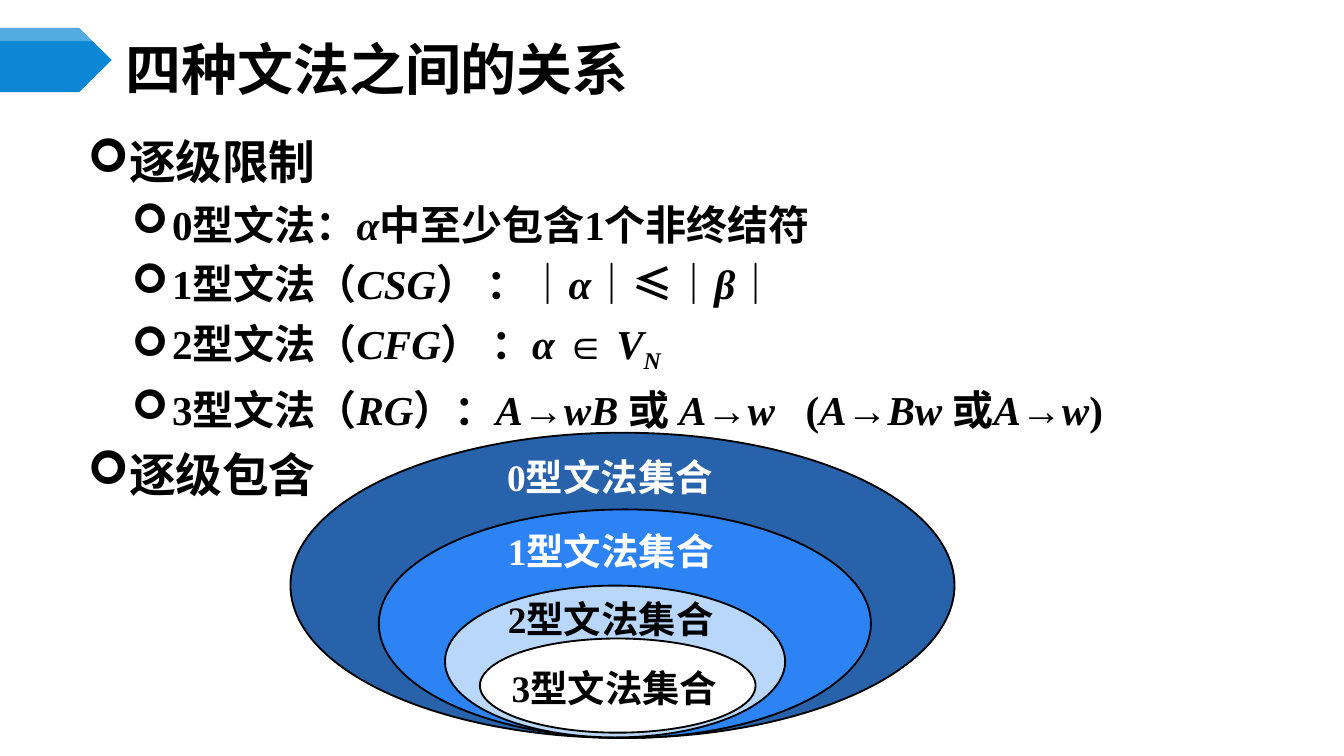
from dataclasses import dataclass

from lxml.etree import SubElement
from pptx import Presentation
from pptx.dml.color import RGBColor
from pptx.enum.shapes import MSO_SHAPE
from pptx.enum.text import MSO_ANCHOR, MSO_AUTO_SIZE, PP_ALIGN
from pptx.oxml.ns import qn
from pptx.util import Cm, Pt

BLACK = RGBColor(0x00, 0x00, 0x00)
WHITE = RGBColor(0xFF, 0xFF, 0xFF)
NAVY = RGBColor(0x28, 0x62, 0xAA)
BLUE = RGBColor(0x2D, 0x83, 0xF4)
PALE_BLUE = RGBColor(0xB9, 0xD6, 0xFB)
TAB_BLUE = RGBColor(0x0B, 0x87, 0xD6)
HEADING_FONT = "Noto Sans CJK SC"
BODY_FONT = "Times New Roman"


@dataclass
class Box:
    left: float
    top: float
    width: float
    height: float

    def lengths(self) -> tuple:
        return Cm(self.left), Cm(self.top), Cm(self.width), Cm(self.height)


@dataclass
class Bullet:
    level: int
    text: str


@dataclass
class GrammarSet:
    name: str
    ellipse: Box
    fill: RGBColor
    label: Box
    ink: RGBColor
    align: PP_ALIGN = PP_ALIGN.LEFT


BULLETS = [
    Bullet(0, "逐级限制"),
    Bullet(1, "0型文法：*α*中至少包含1个非终结符"),
    Bullet(1, "1型文法（*CSG*） ：｜*α*｜≤｜*β*｜"),
    Bullet(1, "2型文法（*CFG*） ：*α* ∈ *V**_N*"),
    Bullet(1, "3型文法（*RG*）：*A*→*wB *或 *A*→*w*   (*A*→*Bw *或*A*→*w*)"),
    Bullet(0, "逐级包含"),
]
GRAMMAR_SETS = [
    GrammarSet("0型文法集合", Box(5.49, 8.18, 12.55, 5.77), NAVY,
               Box(8.1, 8.46, 6.86, 1.12), WHITE, PP_ALIGN.CENTER),
    GrammarSet("1型文法集合", Box(7.16, 9.63, 9.3, 4.32), BLUE,
               Box(9.35, 9.86, 4.88, 1.12), WHITE),
    GrammarSet("2型文法集合", Box(8.41, 11.07, 6.43, 2.87), PALE_BLUE,
               Box(9.35, 11.15, 5.13, 1.12), BLACK),
    GrammarSet("3型文法集合", Box(9.07, 12.07, 5.21, 1.78), WHITE,
               Box(9.42, 12.45, 5.05, 1.12), BLACK),
]


def add_span(para, text: str, size: float, font_name: str, color: RGBColor):
    span = para.add_run()
    span.text = text
    span.font.size = Pt(size)
    span.font.name = font_name
    span.font.bold = True
    span.font.color.rgb = color
    properties = span.font._element
    SubElement(properties, qn("a:ea"), typeface=HEADING_FONT)
    return span


def place(shape, box: Box) -> None:
    shape.left, shape.top, shape.width, shape.height = box.lengths()


def write_title(title) -> None:
    place(title, Box(2.11, 0.79, 22.02, 0.99))
    frame = title.text_frame
    frame.auto_size = MSO_AUTO_SIZE.NONE
    frame.vertical_anchor = MSO_ANCHOR.MIDDLE
    para = frame.paragraphs[0]
    para.alignment = PP_ALIGN.LEFT
    add_span(para, "四种文法之间的关系", 30, HEADING_FONT, BLACK)


def write_bullet(para, bullet: Bullet) -> None:
    para.level = bullet.level
    para.alignment = PP_ALIGN.LEFT
    para.space_before = Pt((6.2, 5.5)[bullet.level])
    properties = para._p.get_or_add_pPr()
    properties.set("marL", str(Cm((0.76, 1.6)[bullet.level])))
    properties.set("indent", str(Cm(-0.76)))
    color = SubElement(properties, qn("a:buClr"))
    SubElement(color, qn("a:srgbClr"), val=str(BLACK))
    SubElement(properties, qn("a:buFont"), typeface="Wingdings")
    SubElement(properties, qn("a:buChar"), char="➢")
    for index, piece in enumerate(bullet.text.split("*")):
        if piece:
            size = (25, 22)[bullet.level]
            span = add_span(para, piece.lstrip("_"), size, BODY_FONT, BLACK)
            span.font.italic = index % 2 == 1
            if piece.startswith("_"):
                span.font._element.set("baseline", "-25000")


def write_body(body) -> None:
    place(body, Box(1.4, 2.39, 22.99, 8.97))
    frame = body.text_frame
    frame.auto_size = MSO_AUTO_SIZE.NONE
    for index, bullet in enumerate(BULLETS):
        para = frame.add_paragraph() if index else frame.paragraphs[0]
        write_bullet(para, bullet)


def add_ellipse(page, grammar: GrammarSet) -> None:
    ellipse = page.shapes.add_shape(MSO_SHAPE.OVAL, *grammar.ellipse.lengths())
    ellipse.shadow.inherit = False
    ellipse.fill.solid()
    ellipse.fill.fore_color.rgb = grammar.fill
    ellipse.line.color.rgb = BLACK
    ellipse.line.width = Pt(1)


def add_label(page, grammar: GrammarSet) -> None:
    label = page.shapes.add_textbox(*grammar.label.lengths())
    label.text_frame.word_wrap = True
    para = label.text_frame.paragraphs[0]
    para.alignment = grammar.align
    add_span(para, grammar.name, 20, BODY_FONT, grammar.ink)


def add_arrow_tab(page, height: float, shoulder: float, color: RGBColor):
    top, tip = 0.53, 2.11
    builder = page.shapes.build_freeform(0, Cm(top))
    builder.add_line_segments([
        (Cm(shoulder), Cm(top)),
        (Cm(tip), Cm(top + height / 2)),
        (Cm(shoulder), Cm(top + height)),
        (0, Cm(top + height)),
    ])
    tab = builder.convert_to_shape()
    tab.shadow.inherit = False
    tab.fill.solid()
    tab.fill.fore_color.rgb = color
    tab.line.fill.background()
    return tab


def main() -> None:
    deck = Presentation()
    deck.slide_width, deck.slide_height = Cm(25.4), Cm(14.29)
    page = deck.slides.add_slide(deck.slide_layouts[1])
    write_title(page.shapes.title)
    write_body(page.placeholders[1])
    for grammar in GRAMMAR_SETS:
        add_ellipse(page, grammar)
    for grammar in GRAMMAR_SETS:
        add_label(page, grammar)
    add_arrow_tab(page, 1.21, 1.5, TAB_BLUE)
    highlight = add_arrow_tab(page, 0.25, 1.98, WHITE)
    tint = highlight.fill._xPr.find(qn("a:solidFill"))[0]
    SubElement(tint, qn("a:alpha"), val="30000")
    deck.save("out.pptx")


if __name__ == "__main__":
    main()
